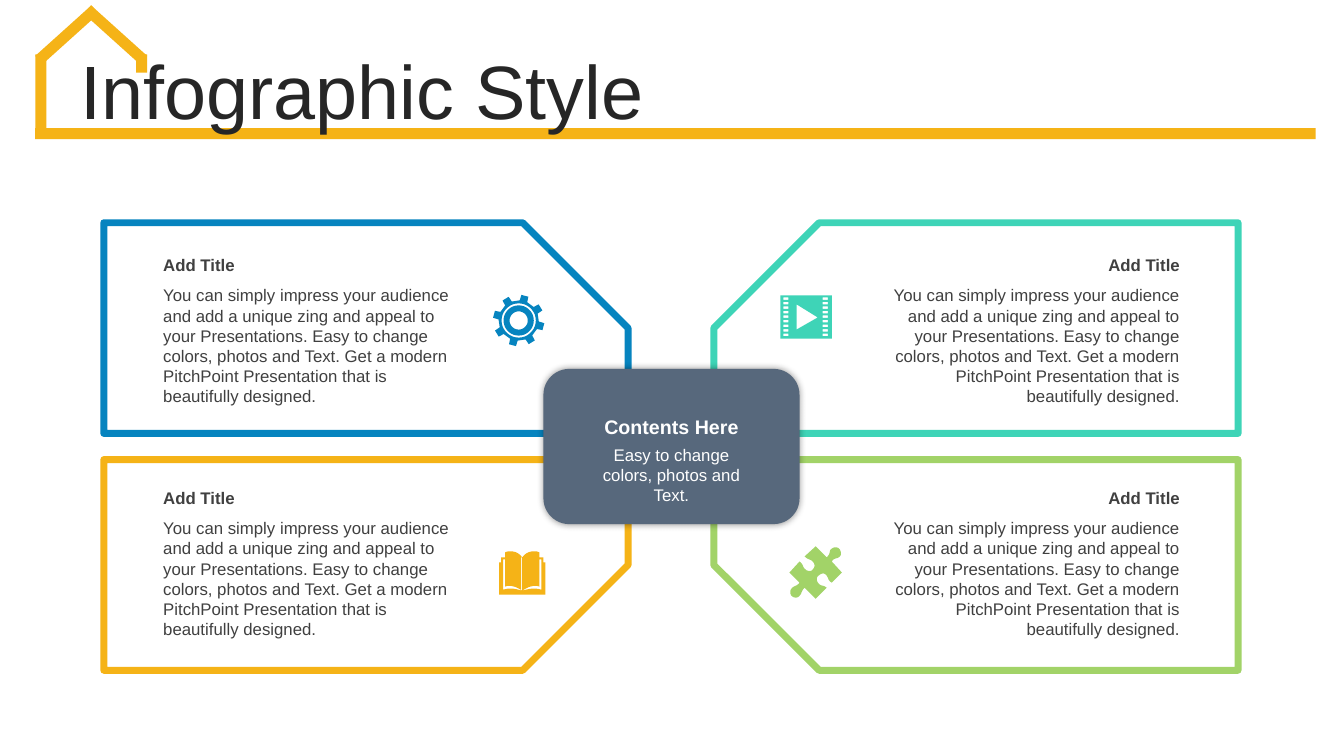
import math
from lxml import etree
from pptx import Presentation
from pptx.dml.color import RGBColor
from pptx.enum.shapes import MSO_SHAPE
from pptx.enum.text import MSO_ANCHOR, PP_ALIGN
from pptx.oxml.ns import qn
from pptx.util import Inches, Pt

RECT, ROUNDED, SNIPPED = MSO_SHAPE.RECTANGLE, MSO_SHAPE.ROUNDED_RECTANGLE, MSO_SHAPE.SNIP_1_RECTANGLE
LEFT, CENTER, RIGHT = PP_ALIGN.LEFT, PP_ALIGN.CENTER, PP_ALIGN.RIGHT
TOP, MIDDLE = MSO_ANCHOR.TOP, MSO_ANCHOR.MIDDLE

BLUE = RGBColor(0x06, 0x84, 0xBF)
TEAL = RGBColor(0x3E, 0xD4, 0xB7)
AMBER = RGBColor(0xF5, 0xB3, 0x17)
GREEN = RGBColor(0xA2, 0xD3, 0x68)
SLATE = RGBColor(0x57, 0x68, 0x7C)
WHITE = RGBColor(0xFF, 0xFF, 0xFF)
INK = RGBColor(0x26, 0x26, 0x26)
GREY = RGBColor(0x40, 0x40, 0x40)
FONT = "Arial"

# Content
TITLE = "Infographic Style"
PANEL_TITLE = "Add Title"
PANEL_BODY = (
    "You can simply impress your audience and add a unique zing and appeal to your "
    "Presentations. Easy to change colors, photos and Text. Get a modern "
    "PitchPoint Presentation that is beautifully designed."
)
CENTER_TITLE = "Contents Here"
CENTER_BODY = "Easy to change colors, photos and Text."

# Panels: left, top, colour, flips, text left, text top, alignment
PANELS = [
    (1.03, 2.21, BLUE, "", 1.52, 2.48, LEFT),
    (7.08, 2.21, TEAL, "H", 8.59, 2.48, RIGHT),
    (1.03, 4.56, AMBER, "V", 1.52, 4.79, LEFT),
    (7.08, 4.56, GREEN, "HV", 8.59, 4.79, RIGHT),
]

# House outline: left, top, width, height, rotation
HOUSE = [
    (0.35, 1.27, 12.7, 0.11, 0),
    (0.35, 0.54, 0.11, 0.8, 0),
    (1.35, 0.54, 0.11, 0.18, 0),
    (0.61, -0.03, 0.11, 0.75, 48),
    (1.09, -0.03, 0.11, 0.75, 312),
]

# Icon outlines: two numbers make a straight step, six a curve
PUZZLE = [
    (8.32, 5.44), (8.34, 5.46, 8.35, 5.5, 8.33, 5.52), (8.3, 5.55, 8.27, 5.53, 8.25, 5.57),
    (8.35, 5.68), (8.25, 5.78), (8.21, 5.76, 8.22, 5.73, 8.19, 5.7),
    (8.17, 5.68, 8.14, 5.69, 8.12, 5.71), (8.1, 5.72, 8.09, 5.76, 8.12, 5.79),
    (8.15, 5.82, 8.16, 5.8, 8.2, 5.83), (8.09, 5.94), (7.98, 5.83),
    (7.94, 5.87, 7.96, 5.88, 7.93, 5.91), (7.91, 5.94, 7.87, 5.93, 7.85, 5.91),
    (7.84, 5.9, 7.83, 5.86, 7.85, 5.84), (7.87, 5.81, 7.9, 5.82, 7.93, 5.78),
    (7.83, 5.68), (7.93, 5.57), (7.97, 5.6, 7.96, 5.63, 7.99, 5.65),
    (8.01, 5.67, 8.05, 5.67, 8.06, 5.65), (8.08, 5.63, 8.09, 5.6, 8.06, 5.57),
    (8.03, 5.54, 8.02, 5.56, 7.98, 5.52), (8.09, 5.42), (8.2, 5.53),
    (8.24, 5.49, 8.22, 5.48, 8.24, 5.45), (8.27, 5.42, 8.31, 5.43, 8.32, 5.44),
]
BOOK_SPINE = 5.18
BOOK_COVER = [
    (5.18, 5.53), (5.21, 5.49, 5.25, 5.47, 5.29, 5.47), (5.31, 5.47, 5.33, 5.47, 5.35, 5.48),
    (5.35, 5.53), (5.39, 5.53), (5.39, 5.58), (5.41, 5.58), (5.41, 5.9),
]
BOOK_PAGE = [
    (5.18, 5.86), (5.26, 5.84, 5.29, 5.83, 5.37, 5.85), (5.37, 5.55), (5.35, 5.55),
    (5.35, 5.82), (5.3, 5.8, 5.24, 5.82, 5.18, 5.86),
]


def paint(shape, fill, line=None, width=0):
    shape.shadow.inherit = False
    shape.fill.solid()
    shape.fill.fore_color.rgb = fill
    if line is None:
        shape.line.fill.background()
    else:
        shape.line.color.rgb = line
        shape.line.width = Pt(width)


def add_box(kind, left, top, width, height):
    return page.shapes.add_shape(kind, Inches(left), Inches(top), Inches(width), Inches(height))


def add_text(text, left, top, width, height, size, color, align=LEFT, bold=False, anchor=TOP):
    box = page.shapes.add_textbox(Inches(left), Inches(top), Inches(width), Inches(height))
    frame = box.text_frame
    frame.word_wrap = True
    frame.vertical_anchor = anchor
    frame.text = text
    para = frame.paragraphs[0]
    para.alignment = align
    font = para.runs[0].font
    font.name, font.size, font.bold = FONT, Pt(size), bold
    font.color.rgb = color
    return para


def flatten(steps, pieces=8):
    points = [steps[0]]
    for step in steps[1:]:
        if len(step) == 2:
            points.append(step)
            continue
        knots = [points[-1], step[0:2], step[2:4], step[4:6]]
        for piece in range(1, pieces + 1):
            t = piece / pieces
            weights = ((1 - t) ** 3, 3 * t * (1 - t) ** 2, 3 * t * t * (1 - t), t ** 3)
            points.append(tuple(sum(w * knot[axis] for w, knot in zip(weights, knots)) for axis in (0, 1)))
    return points


def mirror(points):
    return [(2 * BOOK_SPINE - x, y) for x, y in points]


def rectangle(left, top, right, bottom):
    return [(left, top), (right, top), (right, bottom), (left, bottom)]


def polar(center, radius, degrees):
    angle = math.radians(degrees)
    return center[0] + radius * math.sin(angle), center[1] - radius * math.cos(angle)


def add_icon(outlines, color):
    # Thousandths of an inch; inner outlines become holes
    grid = [[(x * 1000, y * 1000) for x, y in outline] for outline in outlines]
    builder = page.shapes.build_freeform(*grid[0][0], scale=Inches(1) / 1000)
    builder.add_line_segments(grid[0][1:], close=True)
    for outline in grid[1:]:
        builder.move_to(*outline[0])
        builder.add_line_segments(outline[1:], close=True)
    paint(builder.convert_to_shape(), color)


deck = Presentation()
deck.slide_width, deck.slide_height = Inches(13.33), Inches(7.5)
page = deck.slides.add_slide(deck.slide_layouts[6])

# House and title
for *place, turn in HOUSE:
    beam = add_box(RECT, *place)
    beam.rotation = turn
    paint(beam, AMBER)
add_text(TITLE, 0.7, 0.55, 12.31, 0.79, 54, INK, anchor=MIDDLE).line_spacing = 0.9

# Four panels
for left, top, color, flips, *_ in PANELS:
    panel = add_box(SNIPPED, left, top, 5.2, 2.09)
    panel.adjustments[0] = 0.5
    paint(panel, WHITE, color, 5)
    for flip in flips:
        panel._element.spPr.xfrm.set("flip" + flip, "1")

# Centre card with a soft shadow
card = add_box(ROUNDED, 5.39, 3.66, 2.54, 1.54)
paint(card, SLATE)
effects = card._element.spPr.find(qn("a:effectLst"))
glow = etree.SubElement(effects, qn("a:outerShdw"), blurRad=str(Pt(5)), dist="0", dir="0", algn="ctr", rotWithShape="0")
shade = etree.SubElement(glow, qn("a:srgbClr"), val="000000")
etree.SubElement(shade, qn("a:alpha"), val="40000")
add_text(CENTER_BODY, 5.74, 4.36, 1.84, 0.43, 12, WHITE, CENTER)
add_text(CENTER_TITLE, 5.74, 4.07, 1.84, 0.28, 14, WHITE, CENTER, bold=True)

# Panel text
for *_, left, top, align in PANELS:
    add_text(PANEL_BODY, left, top + 0.3, 3.21, 1.31, 12, GREY, align)
    add_text(PANEL_TITLE, left, top, 3.21, 0.3, 12, GREY, align, bold=True)

# Book
cover, leaf = flatten(BOOK_COVER), flatten(BOOK_PAGE)
slit = rectangle(BOOK_SPINE - 0.01, 5.53, BOOK_SPINE, 5.86)
add_icon([cover + mirror(cover)[::-1], leaf, mirror(leaf), slit], AMBER)

# Film strip
film = [rectangle(7.74, 2.93, 8.25, 3.36), [(7.9, 3.02), (7.9, 3.27), (8.11, 3.15)]]
for row in range(9):
    hole_top = 2.95 + row * 0.045
    film += [rectangle(x, hole_top, x + 0.05, hole_top + 0.025) for x in (7.77, 8.16)]
add_icon(film, TEAL)

# Gear
hub = (5.145, 3.18)
teeth = [
    polar(hub, radius, 14 + 45 * tooth + offset)
    for tooth in range(8)
    for radius, offset in ((0.2, -11), (0.255, -8), (0.255, 8), (0.2, 11))
]
rings = [[polar(hub, radius, angle) for angle in range(0, 360, 10)] for radius in (0.17, 0.15, 0.09)]
add_icon([teeth] + rings, BLUE)

# Puzzle piece
add_icon([flatten(PUZZLE)], GREEN)

deck.save("out.pptx")
